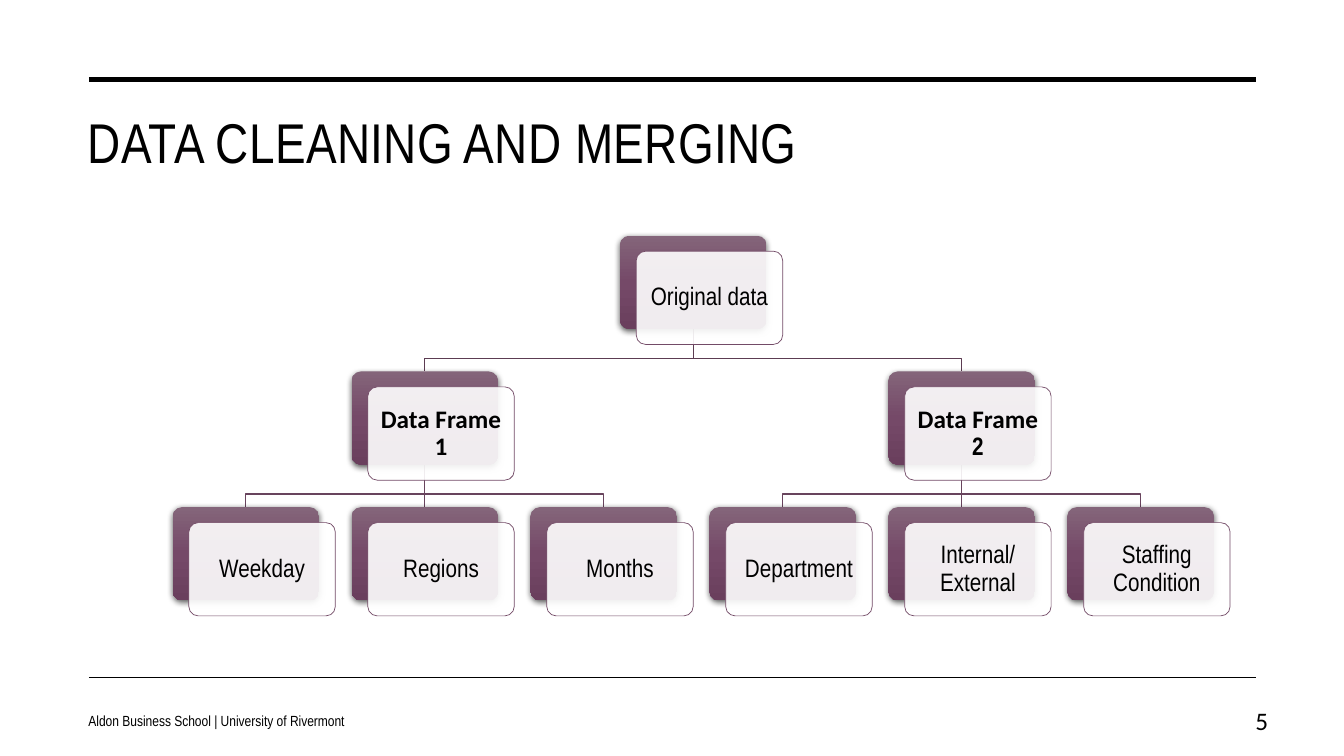
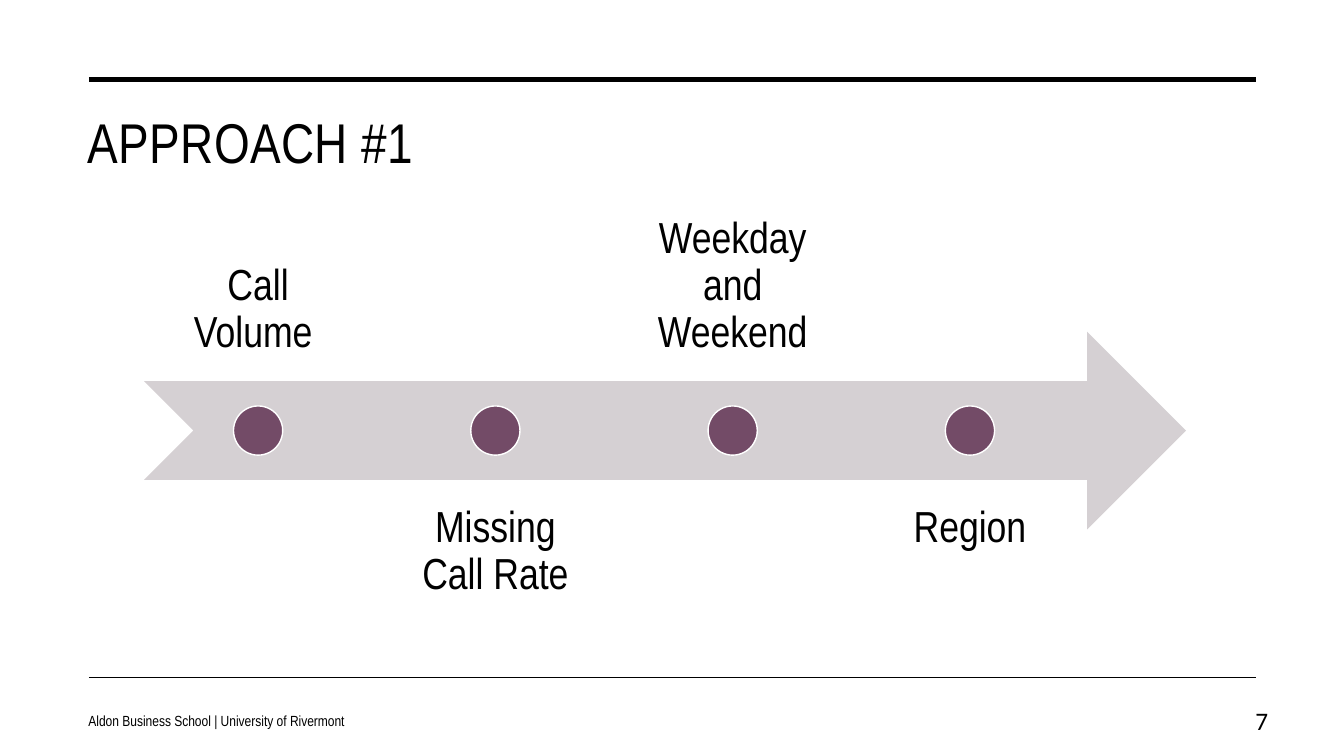
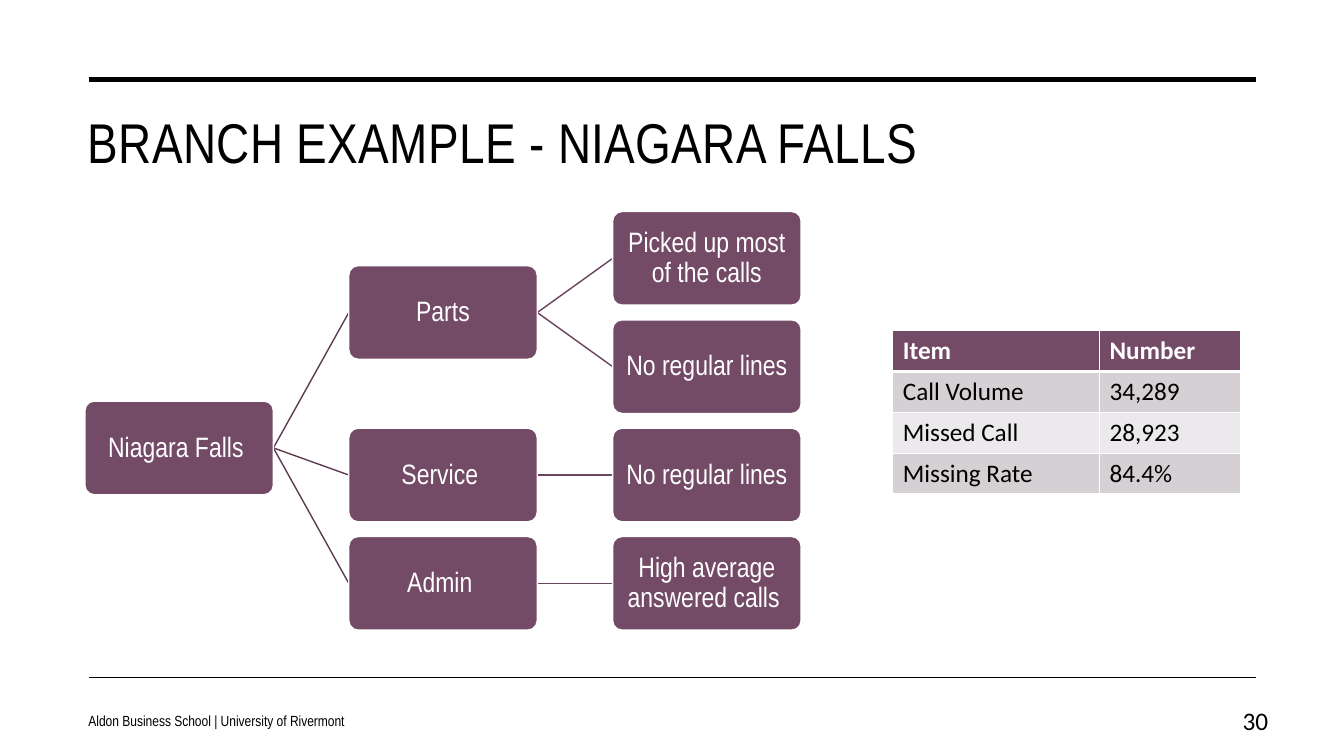
import dataclasses

import lxml.etree
import pptx
import pptx.dml.color
import pptx.enum.shapes
import pptx.enum.text
import pptx.oxml.ns
import pptx.util

Cm = pptx.util.Cm
Pt = pptx.util.Pt
SHAPE = pptx.enum.shapes.MSO_SHAPE
ALIGN = pptx.enum.text.PP_ALIGN
ANCHOR = pptx.enum.text.MSO_ANCHOR

NARROW, BODY = "Arial Narrow", "Calibri"
BLACK, WHITE = "000000", "FFFFFF"
PLUM, PALE, PALER = "734B67", "D5D0D3", "EBE9EB"
LINK_COLOURS = ["5C3C52", "68445D"]  # by depth of the parent
CARD_GRADIENT = [(0, "84657A"), (50, "754968"), (100, "6A3F5D")]
FOOTER = "Aldon Business School | University of Rivermont"


@dataclasses.dataclass
class Topic:
    runs: list
    children: list = dataclasses.field(default_factory=list)
    bold: bool = False
    slot: float = 0
    depth: int = 0


def topic(label, *children):
    return Topic([(label, NARROW)], list(children))


def arrange(node, next_slot=0, depth=0):
    """Give each leaf the next slot and centre each parent; return the next free slot."""
    node.depth = depth
    if not node.children:
        node.slot = next_slot
        return next_slot + 1
    for child in node.children:
        next_slot = arrange(child, next_slot, depth + 1)
    node.slot = (node.children[0].slot + node.children[-1].slot) / 2
    return next_slot


def walk(node):
    yield node
    for child in node.children:
        yield from walk(child)


def rgb(colour):
    return pptx.dml.color.RGBColor.from_string(colour)


def add_xml(parent, tag, **attributes):
    """Append a DrawingML child element with the given attributes."""
    child = lxml.etree.SubElement(parent, pptx.oxml.ns.qn("a:" + tag))
    for key, value in attributes.items():
        child.set(key, str(value))
    return child


class Deck:
    def __init__(self):
        self.presentation = pptx.Presentation()
        self.presentation.slide_width = Cm(33.87)
        self.presentation.slide_height = Cm(19.05)
        self.slide = None

    def new_slide(self, title, number):
        layout = self.presentation.slide_layouts.get_by_name("Title Only")
        self.slide = self.presentation.slides.add_slide(layout)
        self.line(2.24, 2, 31.65, 2, BLACK, 3.5)
        self.line(2.24, 17.07, 31.65, 17.07, BLACK, 1)
        heading = self.slide.shapes.title
        heading.left, heading.top = Cm(1.96), Cm(2.57)
        heading.width, heading.height = Cm(29.69), Cm(3.81)
        self.set_text(heading.text_frame, [(title, NARROW)], 40, anchor=ANCHOR.TOP, tracking=30)
        self.label(1.98, 17.65, 12.6, 1.02, [(FOOTER, NARROW)], 10.5)
        self.label(30.33, 17.65, 1.88, 1.02, [(number, BODY)], 18, align=ALIGN.RIGHT)

    def set_text(self, frame, runs, size, colour=BLACK, align=ALIGN.LEFT, anchor=ANCHOR.MIDDLE,
                 inset=None, spacing=1.0, bold=False, tracking=0):
        """Set (text, font) runs as one paragraph; tracking is in hundredths of a point."""
        frame.word_wrap = True
        frame.auto_size = pptx.enum.text.MSO_AUTO_SIZE.NONE
        frame.vertical_anchor = anchor
        if inset is not None:
            frame.margin_left = frame.margin_right = Cm(inset)
            frame.margin_top = frame.margin_bottom = Cm(inset)
        paragraph = frame.paragraphs[0]
        paragraph.alignment = align
        paragraph.line_spacing = spacing
        for text, font in runs:
            run = paragraph.add_run()
            run.text = text
            run.font.name, run.font.size, run.font.bold = font, Pt(size), bold
            run.font.color.rgb = rgb(colour)
            if tracking:
                run.font._element.set("spc", str(tracking))

    def label(self, left, top, width, height, runs, size, **style):
        box = self.slide.shapes.add_textbox(Cm(left), Cm(top), Cm(width), Cm(height))
        self.set_text(box.text_frame, runs, size, **style)

    def line(self, x1, y1, x2, y2, colour, weight):
        connector = self.slide.shapes.add_connector(
            pptx.enum.shapes.MSO_CONNECTOR.STRAIGHT, Cm(x1), Cm(y1), Cm(x2), Cm(y2))
        connector.line.color.rgb = rgb(colour)
        connector.line.width = Pt(weight)
        add_xml(connector._element.spPr, "effectLst")

    def elbow(self, points, colour):
        (x, y), *rest = [(Cm(px), Cm(py)) for px, py in points]
        builder = self.slide.shapes.build_freeform(x, y)
        builder.add_line_segments(rest, close=False)
        self.paint(builder.convert_to_shape(), None, colour, 1)

    def paint(self, shape, fill, outline=None, weight=0):
        shape.shadow.inherit = False
        if fill:
            shape.fill.solid()
            shape.fill.fore_color.rgb = rgb(fill)
        else:
            shape.fill.background()
        if outline:
            shape.line.color.rgb = rgb(outline)
            shape.line.width = Pt(weight)
        else:
            shape.line.fill.background()

    def shape(self, kind, left, top, width, height, fill, outline=None, weight=0):
        shape = self.slide.shapes.add_shape(kind, Cm(left), Cm(top), Cm(width), Cm(height))
        if kind == SHAPE.ROUNDED_RECTANGLE:
            shape.adjustments[0] = 0.1
        self.paint(shape, fill, outline, weight)
        return shape

    def card(self, left, top, width, height, runs, bold):
        """Draw a shaded back plate with a translucent text plate set off from it."""
        back = self.shape(SHAPE.ROUNDED_RECTANGLE, left, top, width, height, PLUM)
        properties = back._element.spPr
        gradient = add_xml(properties, "gradFill", rotWithShape=1)
        stops = add_xml(gradient, "gsLst")
        for position, colour in CARD_GRADIENT:
            add_xml(add_xml(stops, "gs", pos=position * 1000), "srgbClr", val=colour)
        add_xml(gradient, "lin", ang=5400000, scaled=0)
        properties.replace(properties.find(pptx.oxml.ns.qn("a:solidFill")), gradient)
        shadow = add_xml(properties.find(pptx.oxml.ns.qn("a:effectLst")), "outerShdw",
                         blurRad=Pt(4.5), dist=Pt(1.5), dir=5400000, rotWithShape=0)
        add_xml(add_xml(shadow, "srgbClr", val=BLACK), "alpha", val=63000)

        front = self.shape(SHAPE.ROUNDED_RECTANGLE, left + 0.41, top + 0.39, width, height,
                           WHITE, PLUM, 0.5)
        white = front._element.spPr.find(pptx.oxml.ns.qn("a:solidFill"))[0]
        add_xml(white, "alpha", val=90000)
        self.set_text(front.text_frame, runs, 18, align=ALIGN.CENTER, inset=0.24,
                      spacing=0.9, bold=bold)

    def card_tree(self, root):
        """Draw a tree that grows downwards."""
        width, height, gap, bend = 3.69, 2.35, 1.07, 0.74
        arrange(root)

        def corner(node):
            return 4.35 + node.slot * 4.51, 5.94 + node.depth * (height + gap)

        for node in walk(root):
            left, top = corner(node)
            x, y = left + width / 2, top + height
            colour = LINK_COLOURS[min(node.depth, 1)]
            for child in node.children:
                child_x = corner(child)[0] + width / 2
                if child.slot == node.slot:
                    self.line(x, y, x, y + gap, colour, 1)
                else:
                    self.elbow([(x, y), (x, y + bend), (child_x, y + bend),
                                (child_x, y + gap)], colour)
        for node in walk(root):
            self.card(*corner(node), width, height, node.runs, node.bold)

    def box_tree(self, root):
        """Draw a tree that grows to the right."""
        width, height = 4.75, 2.36
        arrange(root)

        def corner(node):
            return 2.14 + node.depth * 6.65, 5.33 + node.slot * 2.73

        for node in walk(root):
            left, top = corner(node)
            for child in node.children:
                child_left, child_top = corner(child)
                self.line(left + width, top + height / 2, child_left,
                          child_top + height / 2, LINK_COLOURS[node.depth], 1)
        for node in walk(root):
            box = self.shape(SHAPE.ROUNDED_RECTANGLE, *corner(node), width, height,
                             PLUM, WHITE, 1)
            self.set_text(box.text_frame, node.runs, 20, WHITE, ALIGN.CENTER,
                          inset=0.1, spacing=0.9)

    def timeline(self, steps):
        """Draw dots on an arrow, with labels in turn above and below it."""
        label_width, band_height, dot = 5.69, 4.98, 1.24
        self.shape(SHAPE.NOTCHED_RIGHT_ARROW, 3.63, 8.36, 26.26, band_height, PALE)
        for index, step in enumerate(steps):
            left = 3.66 + index * 5.98
            top, anchor = (12.12, ANCHOR.TOP) if index % 2 else (4.62, ANCHOR.BOTTOM)
            self.label(left, top, label_width, band_height, [(step, NARROW)], 31,
                       align=ALIGN.CENTER, anchor=anchor, inset=0.61, spacing=0.9)
            self.shape(SHAPE.OVAL, left + (label_width - dot) / 2,
                       8.36 + (band_height - dot) / 2, dot, dot, PLUM, WHITE, 1)

    def table(self, left, top, widths, row_height, rows):
        table = self.slide.shapes.add_table(
            len(rows), len(widths), Cm(left), Cm(top), Cm(sum(widths)),
            Cm(row_height * len(rows))).table
        for column, width in zip(table.columns, widths):
            column.width = Cm(width)
        for r, row in enumerate(rows):
            table.rows[r].height = Cm(row_height)
            for c, text in enumerate(row):
                cell = table.cell(r, c)
                properties = cell._tc.get_or_add_tcPr()
                for side in "LRTB":
                    under_header = (r, side) in [(0, "B"), (1, "T")]
                    border = add_xml(properties, "ln" + side, w=Pt(3 if under_header else 1))
                    add_xml(add_xml(border, "solidFill"), "srgbClr", val=WHITE)
                cell.fill.solid()
                cell.fill.fore_color.rgb = rgb(PLUM if r == 0 else PALE if r % 2 else PALER)
                run = cell.text_frame.paragraphs[0].add_run()
                run.text = text
                run.font.name, run.font.size, run.font.bold = BODY, Pt(18), r == 0
                run.font.color.rgb = rgb(BLACK if r else WHITE)


def main():
    deck = Deck()

    deck.new_slide("DATA CLEANING AND MERGING", "5")
    first_frame = Topic([("Data Frame 1", BODY)],
                        [topic("Weekday"), topic("Regions"), topic("Months")], bold=True)
    second_frame = Topic([("Data Frame ", BODY), ("2", NARROW)],
                         [topic("Department"), topic("Internal/ External"),
                          topic("Staffing Condition")], bold=True)
    deck.card_tree(topic("Original data", first_frame, second_frame))

    deck.new_slide("APPROACH #1", "7")
    deck.timeline(["Call Volume ", "Missing Call Rate", "Weekday and Weekend", "Region"])

    deck.new_slide("BRANCH EXAMPLE - NIAGARA FALLS", "30")
    deck.table(22.5, 8.33, [5.21, 3.56], 1.03, [
        ("Item", "Number"),
        ("Call Volume", "34,289"),
        ("Missed Call", "28,923"),
        ("Missing Rate", "84.4%"),
    ])
    deck.box_tree(topic(
        "Niagara Falls ",
        topic("Parts", topic("Picked up most of the calls"), topic("No regular lines")),
        topic("Service ", topic("No regular lines")),
        topic("Admin ", topic("High average answered calls ")),
    ))

    deck.presentation.save("out.pptx")


if __name__ == "__main__":
    main()
